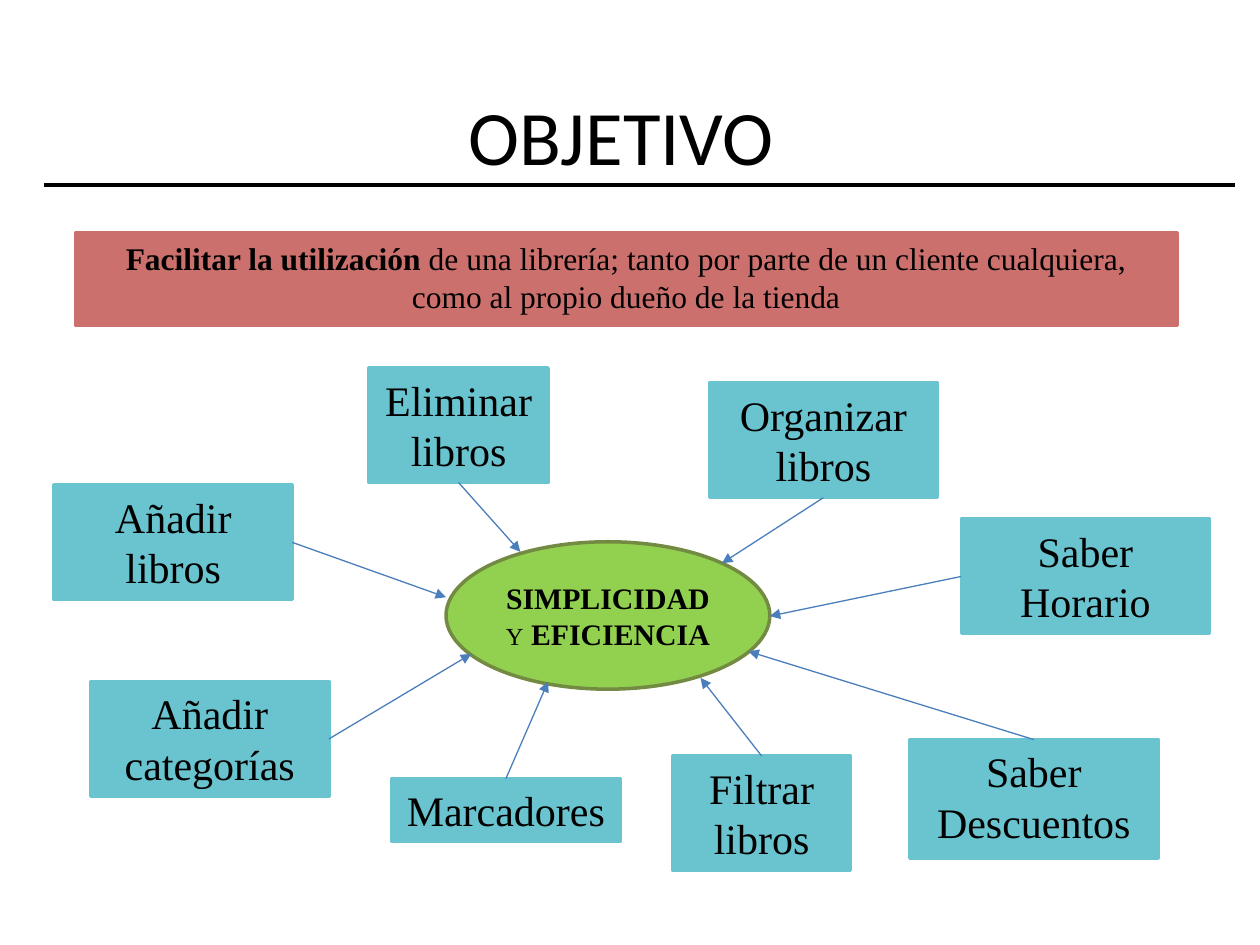
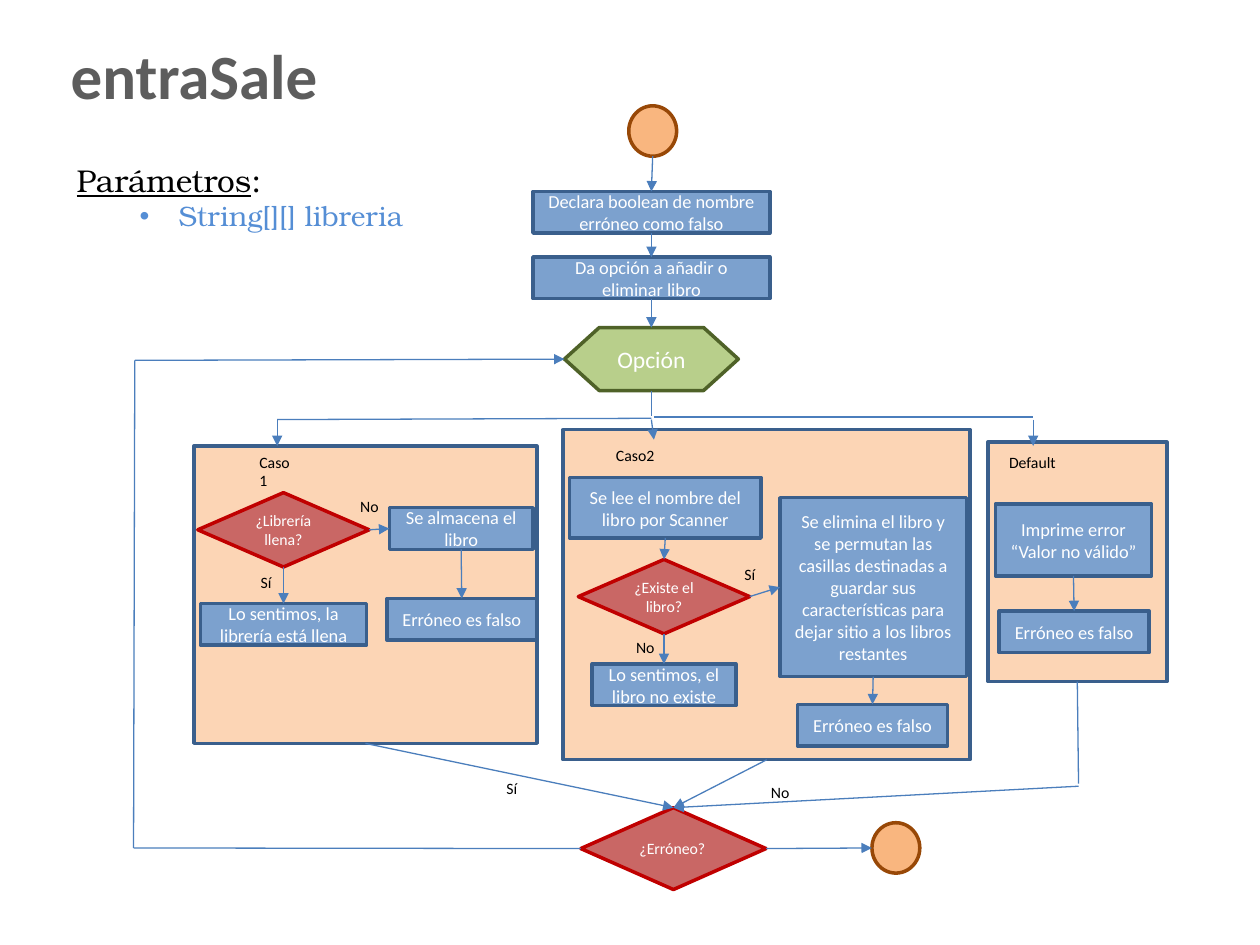
from lxml import etree
from pptx import Presentation
from pptx.dml.color import RGBColor
from pptx.enum.shapes import MSO_CONNECTOR, MSO_SHAPE
from pptx.enum.text import MSO_ANCHOR, PP_ALIGN
from pptx.oxml.ns import qn
from pptx.util import Inches, Pt

LEFT, CENTER = PP_ALIGN.LEFT, PP_ALIGN.CENTER
ANCHOR_TOP, ANCHOR_MIDDLE = MSO_ANCHOR.TOP, MSO_ANCHOR.MIDDLE
STRAIGHT = MSO_CONNECTOR.STRAIGHT
RECT, ELLIPSE = MSO_SHAPE.RECTANGLE, MSO_SHAPE.OVAL
PROCESS, DECISION = MSO_SHAPE.FLOWCHART_PROCESS, MSO_SHAPE.FLOWCHART_DECISION
PREPARATION, CIRCLE = MSO_SHAPE.FLOWCHART_PREPARATION, MSO_SHAPE.FLOWCHART_CONNECTOR
TOP, SIDE_LEFT, BOTTOM, SIDE_RIGHT = range(4)

# Theme: colours, fonts and sizes; a style without a shape is a text box
BLACK, WHITE, ARROW = "000000", "FFFFFF", "4B7EBC"
SERIF, SANS, BOOK = "Times New Roman", "Calibri", "TeX Gyre Bonum"
THEME = {
    "title": dict(size=44, font=SANS, color=BLACK, align=CENTER, anchor=ANCHOR_MIDDLE),
    "method": dict(size=36, font=SANS, color="5D5D5D", bold=True, align=CENTER, wrap=False),
    "params": dict(size=18, font=BOOK, color=BLACK, wrap=False),
    "label": dict(size=9, font=SANS, color=BLACK),
    "goal": dict(shape=RECT, fill="CC706E", line="CC706E", size=18, font=SERIF,
                 color=BLACK, align=CENTER),
    "idea": dict(shape=RECT, fill="6AC4D0", line="6AC4D0", size=24, font=SERIF,
                 color=BLACK, align=CENTER),
    "core": dict(shape=ELLIPSE, fill="92D050", line="738A42", size=17, font=SERIF, color=BLACK,
                 bold=True, align=CENTER, anchor=ANCHOR_MIDDLE, inset=0.05),
    "panel": dict(shape=RECT, fill="FCD5B5", line="3A5F8C"),
    "terminal": dict(shape=CIRCLE, fill="F9B67F", line="984807"),
    "step": dict(shape=PROCESS, fill="7CA1CE", line="3A5F8C", size=10.5, font=SANS,
                 color=WHITE, align=CENTER, anchor=ANCHOR_MIDDLE),
    "option": dict(shape=PREPARATION, fill="B8CF8B", line="4F6228", size=13.5, font=SANS,
                   color=WHITE, align=CENTER, anchor=ANCHOR_MIDDLE),
    "question": dict(shape=DECISION, fill="C96765", line="C00000", size=9, font=SANS,
                     color=WHITE, align=CENTER, anchor=ANCHOR_MIDDLE),
}


def add_box(slide, style, at, *runs):
    """Add a shape or text box; each run is a text or a (text, font overrides) pair."""
    look = THEME[style]
    place = [Inches(v) for v in at]
    if "shape" in look:
        s = slide.shapes.add_shape(look["shape"], *place)
        s.shadow.inherit = False
        s.fill.solid()
        s.fill.fore_color.rgb = RGBColor.from_string(look["fill"])
        s.line.color.rgb = RGBColor.from_string(look["line"])
        s.line.width = Pt(2)
    else:
        s = slide.shapes.add_textbox(*place)
    tf = s.text_frame
    tf.word_wrap = look.get("wrap", True)
    tf.vertical_anchor = look.get("anchor", ANCHOR_TOP)
    tf.margin_left = tf.margin_right = Inches(look.get("inset", 0.1))
    p = tf.paragraphs[0]
    p.alignment = look.get("align", LEFT)
    for run in runs:
        text, changes = (run, {}) if isinstance(run, str) else run
        r = p.add_run()
        r.text = text
        font = {"name": look["font"], "size": Pt(look["size"]),
                "bold": look.get("bold", False), **changes}
        for key, value in font.items():
            setattr(r.font, key, value)
        r.font.color.rgb = RGBColor.from_string(look["color"])
    return s


def add_line(slide, start, end, arrow=True, color=ARROW, width=0.75):
    """Draw a line; each end is an (x, y) point or a (shape, side) pair."""
    joined = [not isinstance(e[0], (int, float)) for e in (start, end)]
    points = [(0, 0) if j else e for j, e in zip(joined, (start, end))]
    line = slide.shapes.add_connector(STRAIGHT, *[Inches(v) for pt in points for v in pt])
    if joined[0]:
        line.begin_connect(*start)
    if joined[1]:
        line.end_connect(*end)
    line.line.color.rgb = RGBColor.from_string(color)
    line.line.width = Pt(width)
    if arrow:
        etree.SubElement(line.line._get_or_add_ln(), qn("a:tailEnd"), type="triangle")
    etree.SubElement(line._element.spPr, qn("a:effectLst"))


prs = Presentation()
prs.slide_width, prs.slide_height = Inches(10), Inches(7.5)
blank = prs.slide_layouts[6]

# Slide 1: goal and ideas around the core
slide = prs.slides.add_slide(blank)
add_box(slide, "title", (0.43, 0.44, 9, 1.25), "OBJETIVO")
add_line(slide, (0.35, 1.47), (9.8, 1.47), arrow=False, color=BLACK, width=2.25)
add_box(slide, "goal", (0.6, 1.85, 8.74, 0.73),
        ("Facilitar la utilización ", {"bold": True}),
        "de una librería; tanto por parte de un cliente cualquiera, "
        "como al propio dueño de la tienda")
small = {"size": Pt(14)}
add_box(slide, "core", (3.54, 4.3, 2.57, 1.17), "SIMPLICIDAD", (" ", small),
        ("Y", {**small, "bold": False}), " EFICIENCIA")

# Each idea: text, place, side the arrow leaves from, point on the core
ideas = [
    ("Añadir libros", (0.43, 3.85, 1.89, 0.91), SIDE_RIGHT, (3.54, 4.74)),
    ("Eliminar libros", (2.93, 2.92, 1.42, 0.91), BOTTOM, (4.13, 4.38)),
    ("Añadir categorías", (0.72, 5.41, 1.89, 0.91), SIDE_RIGHT, (3.74, 5.19)),
    ("Filtrar libros", (5.34, 6, 1.41, 0.91), TOP, (5.56, 5.38)),
    ("Organizar libros", (5.63, 3.04, 1.81, 0.91), BOTTOM, (5.73, 4.47)),
    ("Marcadores", (3.11, 6.18, 1.81, 0.5), TOP, (4.35, 5.41)),
    ("Saber Horario", (7.63, 4.12, 1.97, 0.91), SIDE_LEFT, (6.11, 4.89)),
    ("Saber Descuentos", (7.22, 5.87, 1.97, 0.94), TOP, (5.94, 5.17)),
]
for text, at, side, target in ideas:
    idea = add_box(slide, "idea", at, text)
    add_line(slide, (idea, side), target)

# Slide 2: heading and parameters
slide = prs.slides.add_slide(blank)
add_box(slide, "method", (0.45, 0.24, 2.18, 0.71), "entraSale")
params = add_box(slide, "params", (0.51, 1.23, 2.81, 0.67),
                 ("Parámetros", {"underline": True}), ":")
p = params.text_frame.add_paragraph()
p.level = 1
pPr = p._p.get_or_add_pPr()
pPr.set("marL", str(Inches(0.81)))
pPr.set("indent", str(Inches(-0.31)))
etree.SubElement(pPr, qn("a:buFont"), typeface="Arial")
etree.SubElement(pPr, qn("a:buChar"), char="•")
r = p.add_run()
r.text = "String[][] libreria"
for key, value in {"name": BOOK, "size": Pt(16)}.items():
    setattr(r.font, key, value)
r.font.color.rgb = RGBColor.from_string("558ED5")

# Flowchart nodes, panels first
nodes = {
    "default": ("panel", (7.84, 3.51, 1.42, 1.9)),
    "case2": ("panel", (4.47, 3.41, 3.23, 2.62)),
    "case1": ("panel", (1.54, 3.54, 2.72, 2.36)),
    "start": ("terminal", (4.99, 0.84, 0.38, 0.4)),
    "end": ("terminal", (6.92, 6.53, 0.38, 0.4)),
    "declare": ("step", (4.23, 1.52, 1.88, 0.33), "Declara boolean de nombre erróneo como falso"),
    "offer": ("step", (4.23, 2.04, 1.88, 0.33), "Da opción a añadir o eliminar libro"),
    "option": ("option", (4.48, 2.6, 1.38, 0.5), "Opción"),
    "full": ("question", (1.57, 3.91, 1.36, 0.59), "¿Librería llena?"),
    "store": ("step", (3.09, 4.03, 1.14, 0.33), "Se almacena el libro"),
    "sorry_full": ("step", (1.59, 4.79, 1.32, 0.33), "Lo sentimos, la librería está llena"),
    "ok1": ("step", (3.07, 4.75, 1.19, 0.33), "Erróneo es falso"),
    "read": ("step", (4.52, 3.79, 1.52, 0.48), "Se lee el nombre del libro por Scanner"),
    "exists": ("question", (4.59, 4.44, 1.36, 0.59), "¿Existe el libro?"),
    "sorry_none": ("step", (4.7, 5.27, 1.14, 0.33), "Lo sentimos, el libro no existe"),
    "remove": ("step", (6.19, 3.95, 1.48, 1.42),
               "Se elimina el libro y se permutan las casillas destinadas a guardar sus "
               "características para dejar sitio a los libros restantes"),
    "ok2": ("step", (6.33, 5.59, 1.19, 0.33), "Erróneo es falso"),
    "print_error": ("step", (7.9, 4, 1.24, 0.57), "Imprime error “Valor no válido”"),
    "ok3": ("step", (7.93, 4.85, 1.19, 0.33), "Erróneo es falso"),
    "wrong": ("question", (4.61, 6.41, 1.47, 0.65), "¿Erróneo?"),
}
boxes = {name: add_box(slide, *node) for name, node in nodes.items()}
boxes["wrong"].text_frame.paragraphs[0].alignment = LEFT

# Arrows from node to node
for source, out_side, target, in_side in [
    ("declare", BOTTOM, "offer", TOP),
    ("offer", BOTTOM, "option", TOP),
    ("full", BOTTOM, "sorry_full", TOP),
    ("full", SIDE_RIGHT, "store", SIDE_LEFT),
    ("store", BOTTOM, "ok1", TOP),
    ("read", BOTTOM, "exists", TOP),
    ("exists", BOTTOM, "sorry_none", TOP),
    ("exists", SIDE_RIGHT, "remove", SIDE_LEFT),
    ("remove", BOTTOM, "ok2", TOP),
    ("print_error", BOTTOM, "ok3", TOP),
    ("case1", BOTTOM, "wrong", TOP),
    ("case2", BOTTOM, "wrong", TOP),
]:
    add_line(slide, (boxes[source], out_side), (boxes[target], in_side))

# Terminals, branches to the cases and the loop back: start, end, arrowhead
for start, end, arrow in [
    ((5.18, 1.24), (boxes["declare"], TOP), True),
    ((boxes["wrong"], SIDE_RIGHT), (6.92, 6.73), True),
    ((boxes["option"], BOTTOM), (5.17, 3.3), False),
    ((5.17, 3.32), (2.2, 3.33), False),
    ((5.19, 3.31), (8.2, 3.31), False),
    ((2.2, 3.33), (2.2, 3.54), True),
    ((5.17, 3.33), (5.19, 3.49), True),
    ((8.2, 3.33), (8.2, 3.54), True),
    ((boxes["default"], BOTTOM), (8.56, 6.22), False),
    ((8.56, 6.24), (boxes["wrong"], TOP), True),
    ((boxes["wrong"], SIDE_LEFT), (1.06, 6.73), False),
    ((1.06, 6.73), (1.07, 2.86), False),
    ((1.07, 2.86), (boxes["option"], SIDE_LEFT), True),
]:
    add_line(slide, start, end, arrow)

# Case names and branch labels
for text, at in [
    ("Caso1", (1.96, 3.54, 0.49, 0.45)),
    ("Caso2", (4.79, 3.49, 0.58, 0.28)),
    ("Default", (7.91, 3.54, 0.58, 0.45)),
]:
    add_box(slide, "label", at, text)
for text, width, corners in [
    ("No", 0.38, [(2.76, 3.89), (4.95, 5.01), (6.02, 6.16)]),
    ("Sí", 0.32, [(1.97, 4.5), (5.81, 4.43), (3.92, 6.13)]),
]:
    for x, y in corners:
        add_box(slide, "label", (x, y, width, 0.28), text)

prs.save("out.pptx")
